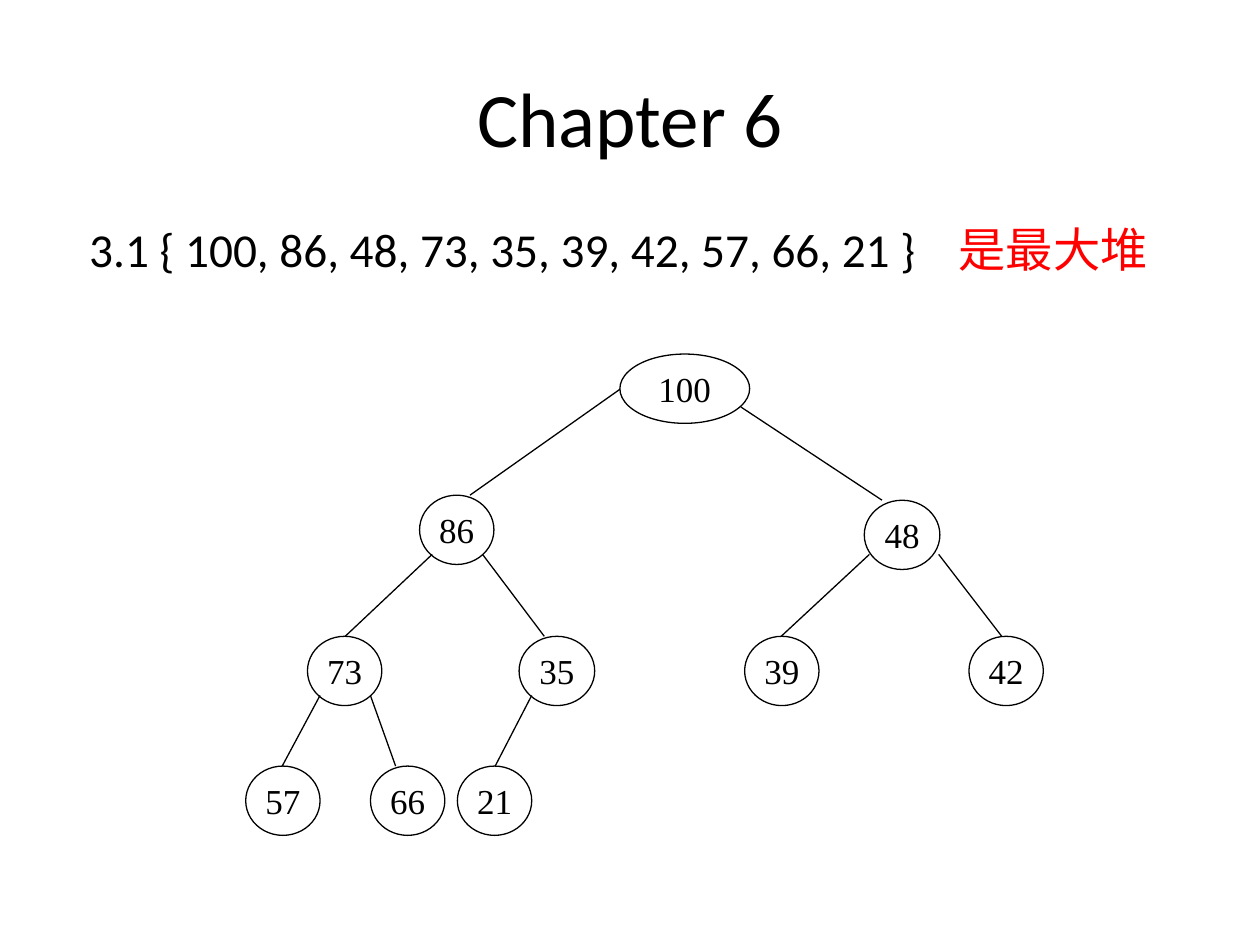
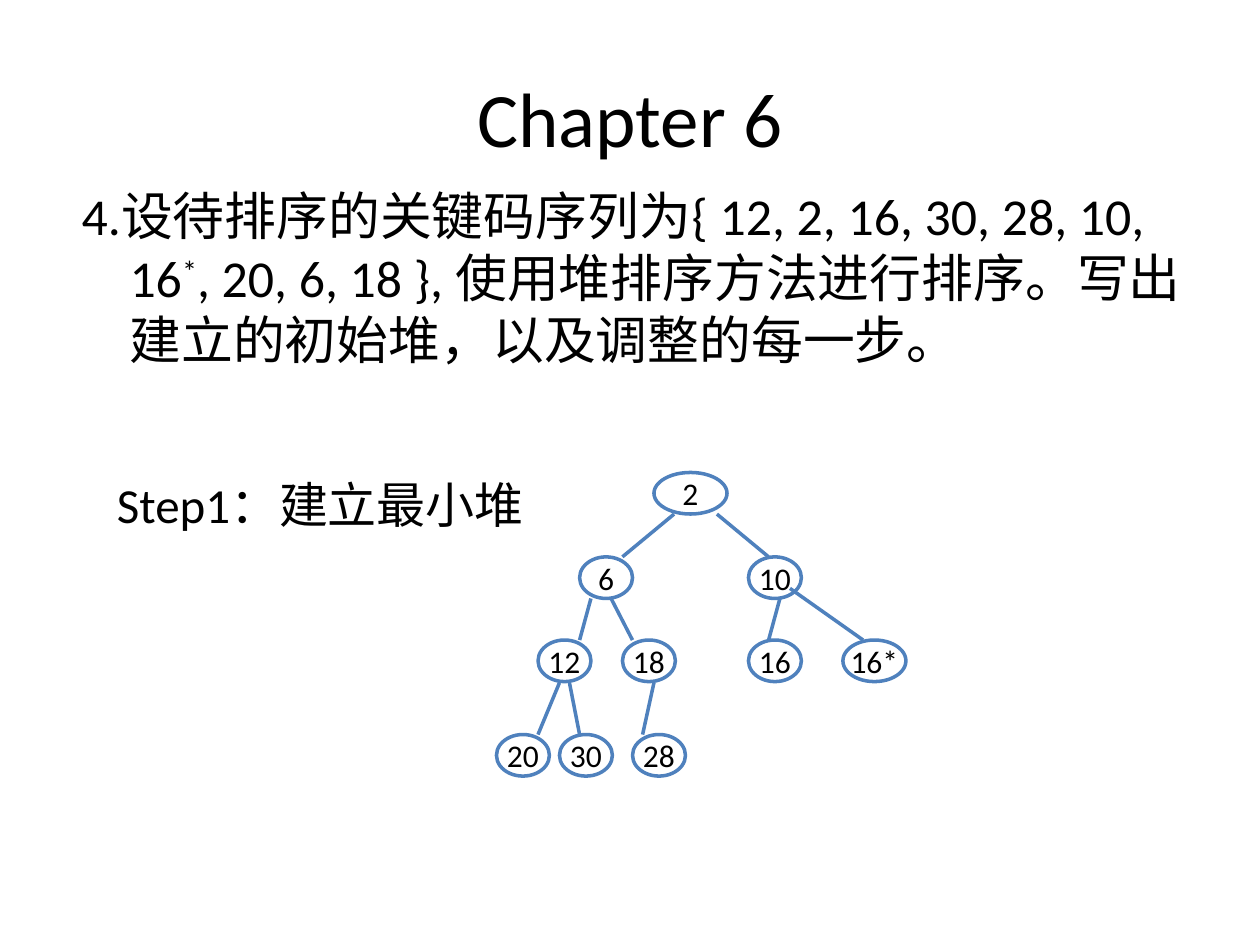
from dataclasses import dataclass
from lxml import etree
from pptx import Presentation
from pptx.dml.color import RGBColor
from pptx.enum.shapes import MSO_CONNECTOR, MSO_SHAPE
from pptx.enum.text import MSO_ANCHOR, PP_ALIGN
from pptx.oxml.ns import qn
from pptx.util import Inches, Pt

OVAL = MSO_SHAPE.OVAL
LINE = MSO_CONNECTOR.STRAIGHT
MID = MSO_ANCHOR.MIDDLE
TOP = MSO_ANCHOR.TOP
MID_X = PP_ALIGN.CENTER
LEFT = PP_ALIGN.LEFT


@dataclass(frozen=True)
class Theme:
    ink: str = "000000"
    paper: str = "FFFFFF"
    red: str = "FF0000"
    blue: str = "4F81BD"
    sans: str = "Calibri"
    serif: str = "Times New Roman"
    title: float = 44
    list: float = 27
    task: float = 29.6
    step: float = 28


@dataclass(frozen=True)
class Style:
    font: str
    size: float
    line: str
    weight: float
    tall: float


T = Theme()
PLAIN = Style(T.serif, 20, T.ink, 0.75, 0.55)
BOLD = Style(T.sans, 18, T.blue, 2, 0.33)

TITLE = "Chapter 6"
LIST = [("3.1 { 100, 86, 48, 73, 35, 39, 42, 57, 66, 21 }\t", T.ink, 0),
        ("是最大堆", T.red, 0)]
TASK = [("4.设待排序的关键码序列为{ 12, 2, 16, 30, 28, 10, 16", T.ink, 0),
        ("*", T.ink, 30000),
        (", 20, 6, 18 }, 使用堆排序方法进行排序。写出建立的初始堆，以及调整的每一步。", T.ink, 0)]
STEP = [("Step1：建立最小堆", T.ink, 0)]

# label, left, top, width, edge from the parent (x, y) to x on the node's top
MAX_HEAP = [
    ("100", 4.92, 2.81, 1.03, None),
    ("86", 3.33, 3.93, 0.59, (4.92, 3.09, 3.73)),
    ("48", 6.86, 3.97, 0.6, (5.88, 3.23, 7)),
    ("73", 2.44, 5.05, 0.59, (3.43, 4.4, 2.74)),
    ("35", 4.12, 5.05, 0.6, (3.83, 4.4, 4.32)),
    ("39", 5.91, 5.05, 0.59, (6.9, 4.4, 6.2)),
    ("42", 7.69, 5.05, 0.59, (7.45, 4.4, 7.95)),
    ("57", 1.95, 6.08, 0.59, (2.54, 5.52, 2.24)),
    ("66", 2.94, 6.08, 0.59, (2.94, 5.52, 3.14)),
    ("21", 3.63, 6.08, 0.59, (4.22, 5.52, 3.93)),
]
MIN_HEAP = [
    ("2", 5.19, 3.75, 0.58, None),
    ("6", 4.6, 4.42, 0.42, (5.35, 4.08, 4.94)),
    ("10", 5.94, 4.42, 0.42, (5.69, 4.08, 6.1)),
    ("12", 4.27, 5.08, 0.42, (4.69, 4.75, 4.6)),
    ("18", 4.94, 5.08, 0.42, (4.85, 4.75, 5.02)),
    ("16", 5.94, 5.08, 0.42, (6.19, 4.75, 6.1)),
    ("16*", 6.69, 5.08, 0.5, (6.27, 4.67, 6.85)),
    ("20", 3.94, 5.83, 0.42, (4.44, 5.42, 4.27)),
    ("30", 4.44, 5.83, 0.42, (4.52, 5.42, 4.6)),
    ("28", 5.02, 5.83, 0.42, (5.19, 5.42, 5.1)),
]


def paint(font, name, size, color):
    font.name = name
    font.size = Pt(size)
    font.color.rgb = RGBColor.from_string(color)


def write(slide, box, runs, size, align=LEFT, anchor=TOP, wrap=True):
    frame = slide.shapes.add_textbox(*map(Inches, box)).text_frame
    frame.word_wrap = wrap
    frame.vertical_anchor = anchor
    para = frame.paragraphs[0]
    para.alignment = align
    for text, color, lift in runs:
        run = para.add_run()
        run.text = text
        paint(run.font, T.sans, size, color)
        if lift:
            run._r.get_or_add_rPr().set("baseline", str(lift))
    return para


def add_tab(para, pos):
    tabs = etree.SubElement(para._p.get_or_add_pPr(), qn("a:tabLst"))
    etree.SubElement(tabs, qn("a:tab"), pos=str(Inches(pos)), algn="l")


def hang(para, depth):
    props = para._p.get_or_add_pPr()
    props.set("marL", str(Inches(depth)))
    props.set("indent", str(-Inches(depth)))


def stroke(line, style):
    line.color.rgb = RGBColor.from_string(style.line)
    line.width = Pt(style.weight)


def add_node(group, label, x, y, wide, style):
    node = group.shapes.add_shape(OVAL, *map(Inches, (x, y, wide, style.tall)))
    node.shadow.inherit = False
    node.fill.solid()
    node.fill.fore_color.rgb = RGBColor.from_string(T.paper)
    stroke(node.line, style)
    frame = node.text_frame
    frame.margin_left = frame.margin_right = 0
    frame.margin_top = frame.margin_bottom = 0
    frame.word_wrap = False
    frame.vertical_anchor = MID
    frame.text = label
    para = frame.paragraphs[0]
    para.alignment = MID_X
    paint(para.runs[0].font, style.font, style.size, T.ink)


def add_edge(group, ends, style):
    edge = group.shapes.add_connector(LINE, *map(Inches, ends))
    stroke(edge.line, style)
    etree.SubElement(edge._element.spPr, qn("a:effectLst"))


def add_tree(slide, nodes, style):
    group = slide.shapes.add_group_shape()
    for label, x, y, wide, edge in nodes:
        add_node(group, label, x, y, wide, style)
        if edge:
            add_edge(group, (*edge, y), style)


def add_page(deck):
    slide = deck.slides.add_slide(deck.slide_layouts[6])
    write(slide, (0.5, 0.3, 9, 1.25), [(TITLE, T.ink, 0)], T.title, MID_X, MID)
    return slide


def main():
    deck = Presentation()
    deck.slide_width, deck.slide_height = Inches(10), Inches(7.5)

    page = add_page(deck)
    para = write(page, (0.61, 1.75, 8.89, 0.52), LIST, T.list)
    para.line_spacing = 0.9
    add_tab(para, 6.9)
    add_tree(page, MAX_HEAP, PLAIN)

    page = add_page(deck)
    hang(write(page, (0.55, 1.41, 9, 1.8), TASK, T.task), 0.38)
    write(page, (0.83, 3.72, 3.52, 0.57), STEP, T.step, wrap=False)
    add_tree(page, MIN_HEAP, BOLD)

    deck.save("out.pptx")


if __name__ == "__main__":
    main()
